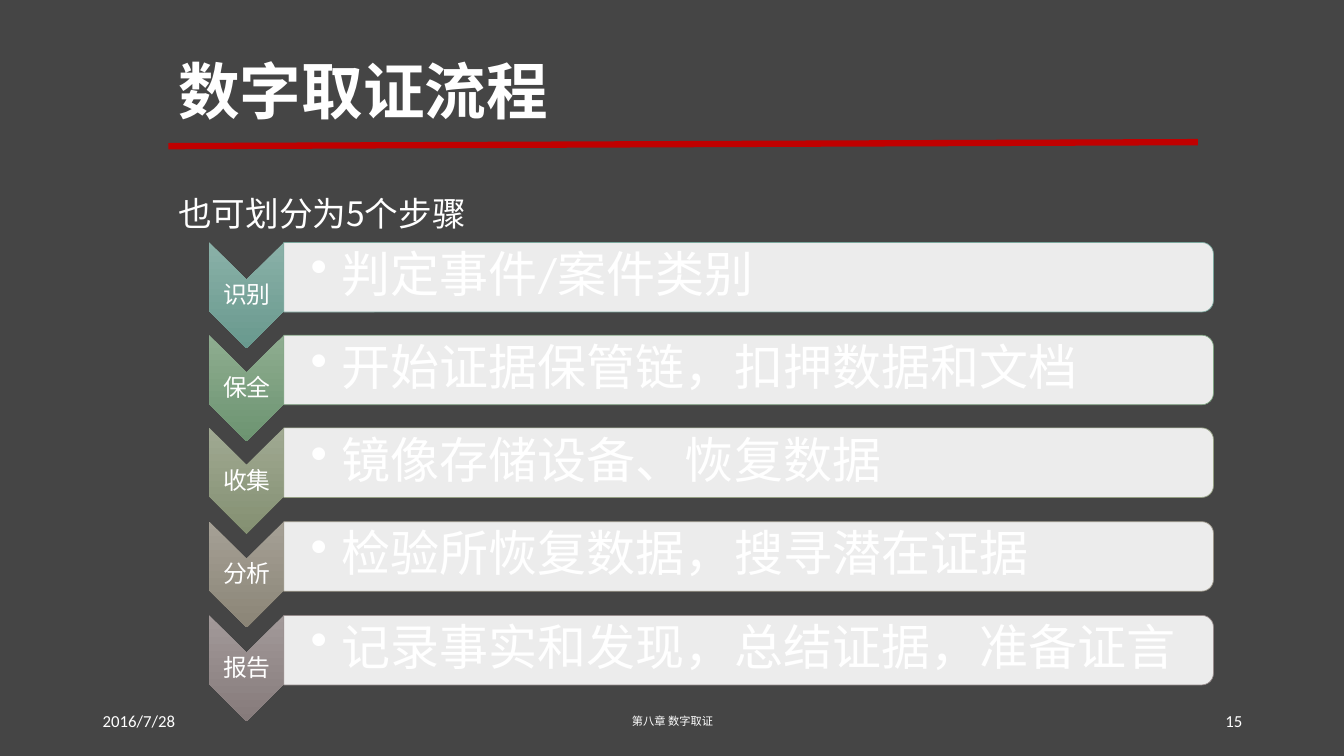
from dataclasses import dataclass

from lxml.etree import SubElement
from pptx import Presentation
from pptx.dml.color import RGBColor as RGB
from pptx.enum.shapes import MSO_CONNECTOR as Conn, MSO_SHAPE as Kind
from pptx.enum.text import MSO_ANCHOR as Anchor, PP_ALIGN as Align
from pptx.oxml.ns import qn
from pptx.util import Pt


@dataclass(frozen=True)
class Theme:
    back: str = "454545"
    ink: str = "FFFFFF"
    rule: str = "C00000"
    latin: str = "Calibri"
    asian: str = "Noto Sans CJK SC"
    title: int = 44
    lead: int = 24
    item: int = 35
    label: int = 17
    foot: int = 12
    small: int = 8


THEME = Theme()
SCALE = 9144  # EMU per px, 100 px to the inch

# label, text, gradient start, gradient end, bar outline
STEPS = [
    ("识别", "判定事件/案件类别", "8AB1A8", "69998E", "7BA79D"),
    ("保全", "开始证据保管链，扣押数据和文档", "8EAD90", "6D9471", "7FA382"),
    ("收集", "镜像存储设备、恢复数据", "A0A992", "849072", "949F83"),
    ("分析", "检验所恢复数据，搜寻潜在证据", "A5A095", "8B8577", "9A9588"),
    ("报告", "记录事实和发现，总结证据，准备证言", "A29999", "867B7B", "968C8C"),
]
TOP, PITCH = 240, 92.5


def px(num):
    return round(num) * SCALE


def color(code):
    return RGB.from_string(code)


def apply(obj, fmt):
    for key, val in fmt.items():
        setattr(obj, key, val)


def add_text(slide, box, text, size, font=THEME.latin, bold=False,
             pad=(10, 5, 10, 5), anchor=Anchor.MIDDLE, **para):
    """Add a one-paragraph text box; extra names set paragraph format."""
    frame = slide.shapes.add_textbox(*map(px, box)).text_frame
    left, top, right, low = map(px, pad)
    apply(frame, dict(word_wrap=True, vertical_anchor=anchor,
                      margin_left=left, margin_top=top,
                      margin_right=right, margin_bottom=low))
    line = frame.paragraphs[0]
    apply(line, para)
    run = line.add_run()
    run.text = text
    apply(run.font, dict(size=Pt(size), name=font, bold=bold))
    run.font.color.rgb = color(THEME.ink)
    SubElement(run.font._element, qn("a:ea"), typeface=THEME.asian)
    return line


def add_bullet(line, indent):
    props = line._p.get_or_add_pPr()
    props.set("marL", str(px(indent)))
    props.set("indent", str(-px(indent)))
    SubElement(props, qn("a:buChar"), char="•")


def add_turned(slide, kind, left, top, wide, high):
    """Add a shape turned by 90 degrees that fills the given upright box."""
    x = left + (wide - high) / 2
    y = top + (high - wide) / 2
    shape = slide.shapes.add_shape(kind, px(x), px(y), px(high), px(wide))
    shape.rotation = 90
    shape.shadow.inherit = False
    return shape


def add_arrow(slide, top, start, end):
    arrow = add_turned(slide, Kind.CHEVRON, 208, top, 74, 105)
    arrow.line.fill.background()
    fill = arrow.fill
    fill.gradient()
    fill.gradient_angle = 270
    for stop, code in zip(fill.gradient_stops, (start, end)):
        stop.color.rgb = color(code)
    arrow._element.spPr.find(qn("a:gradFill")).set("rotWithShape", "0")


def add_bar(slide, top, edge):
    bar = add_turned(slide, Kind.ROUND_2_SAME_RECTANGLE, 282, top, 922, 69)
    bar.fill.solid()
    bar.fill.fore_color.rgb = color(THEME.ink)
    tint = bar._element.spPr.find(qn("a:solidFill"))[0]
    SubElement(tint, qn("a:alpha"), val="90000")
    bar.line.color.rgb = color(edge)
    bar.line.width = Pt(0.5)


def add_step(slide, top, label, text, start, end, edge):
    add_arrow(slide, top, start, end)
    add_text(slide, (208, top + 37, 74, 32), label, THEME.label,
             pad=(1, 1, 1, 1), alignment=Align.CENTER, line_spacing=0.9)
    add_bar(slide, top, edge)
    line = add_text(slide, (281, top + 3, 918, 62), text, THEME.item,
                    pad=(27, 2, 2, 2), line_spacing=0.9)
    add_bullet(line, 31)


def add_rule(slide, *ends):
    rule = slide.shapes.add_connector(Conn.STRAIGHT, *map(px, ends))
    rule.line.color.rgb = color(THEME.rule)
    rule.line.width = Pt(4.5)
    SubElement(rule._element.spPr, qn("a:effectLst"))


def main():
    deck = Presentation()
    apply(deck, dict(slide_width=px(1333), slide_height=px(750)))
    slide = deck.slides.add_slide(deck.slide_layouts[6])
    back = slide.background.fill
    back.solid()
    back.fore_color.rgb = color(THEME.back)

    add_rule(slide, 167, 145, 1188, 141)
    add_text(slide, (167, 21, 1021, 145), "数字取证流程", THEME.title,
             THEME.asian, bold=True, line_spacing=0.9)
    add_text(slide, (167, 166, 1021, 507), "也可划分为5个步骤", THEME.lead,
             THEME.asian, anchor=Anchor.TOP, line_spacing=1.5,
             space_before=Pt(10))
    add_text(slide, (92, 695, 300, 40), "2016/7/28", THEME.foot)
    add_text(slide, (442, 695, 450, 40), "第八章 数字取证", THEME.small,
             THEME.asian, alignment=Align.CENTER)
    add_text(slide, (942, 695, 300, 40), "15", THEME.foot,
             alignment=Align.RIGHT)
    for row, step in enumerate(STEPS):
        add_step(slide, TOP + row * PITCH, *step)
    deck.save("out.pptx")


if __name__ == "__main__":
    main()
